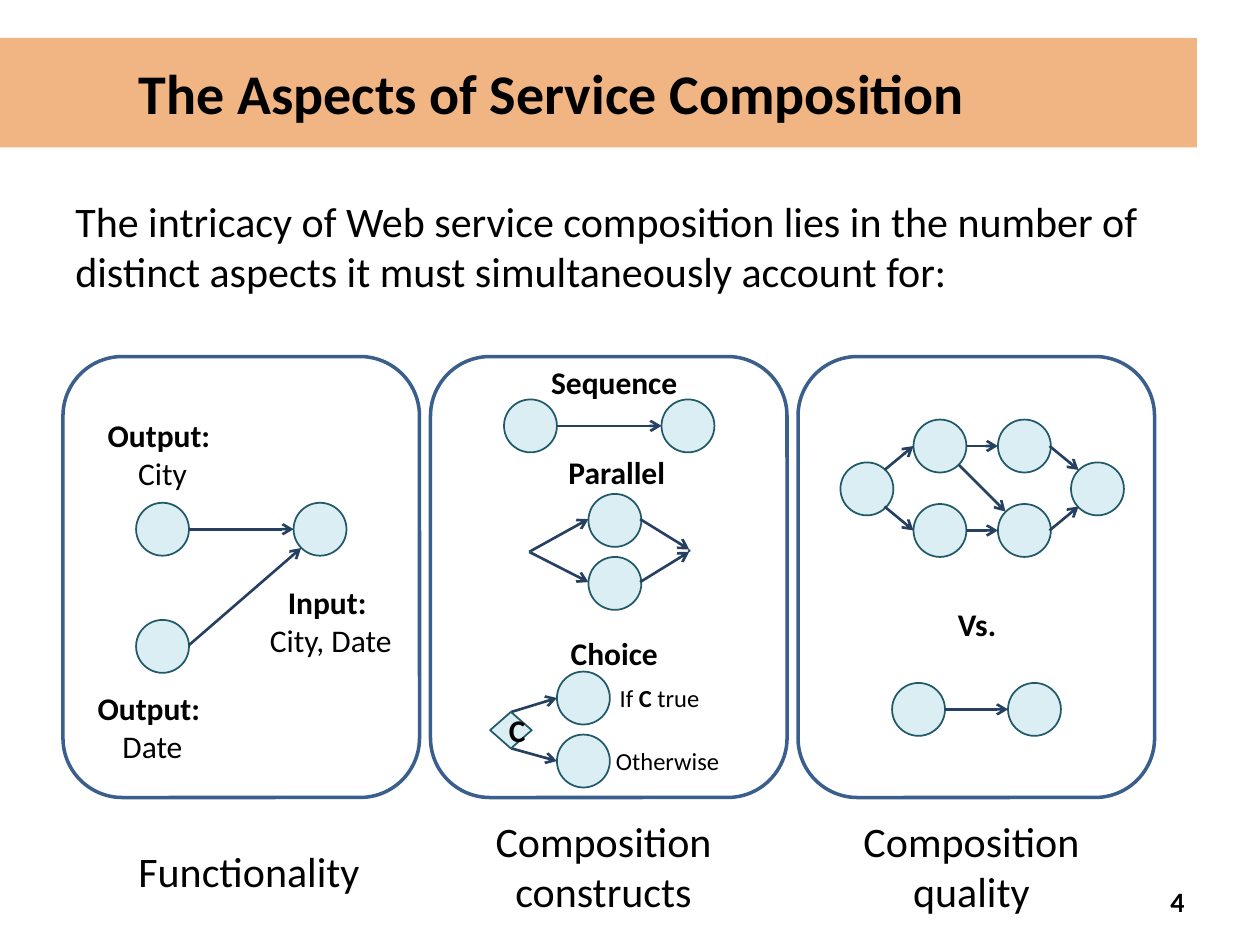
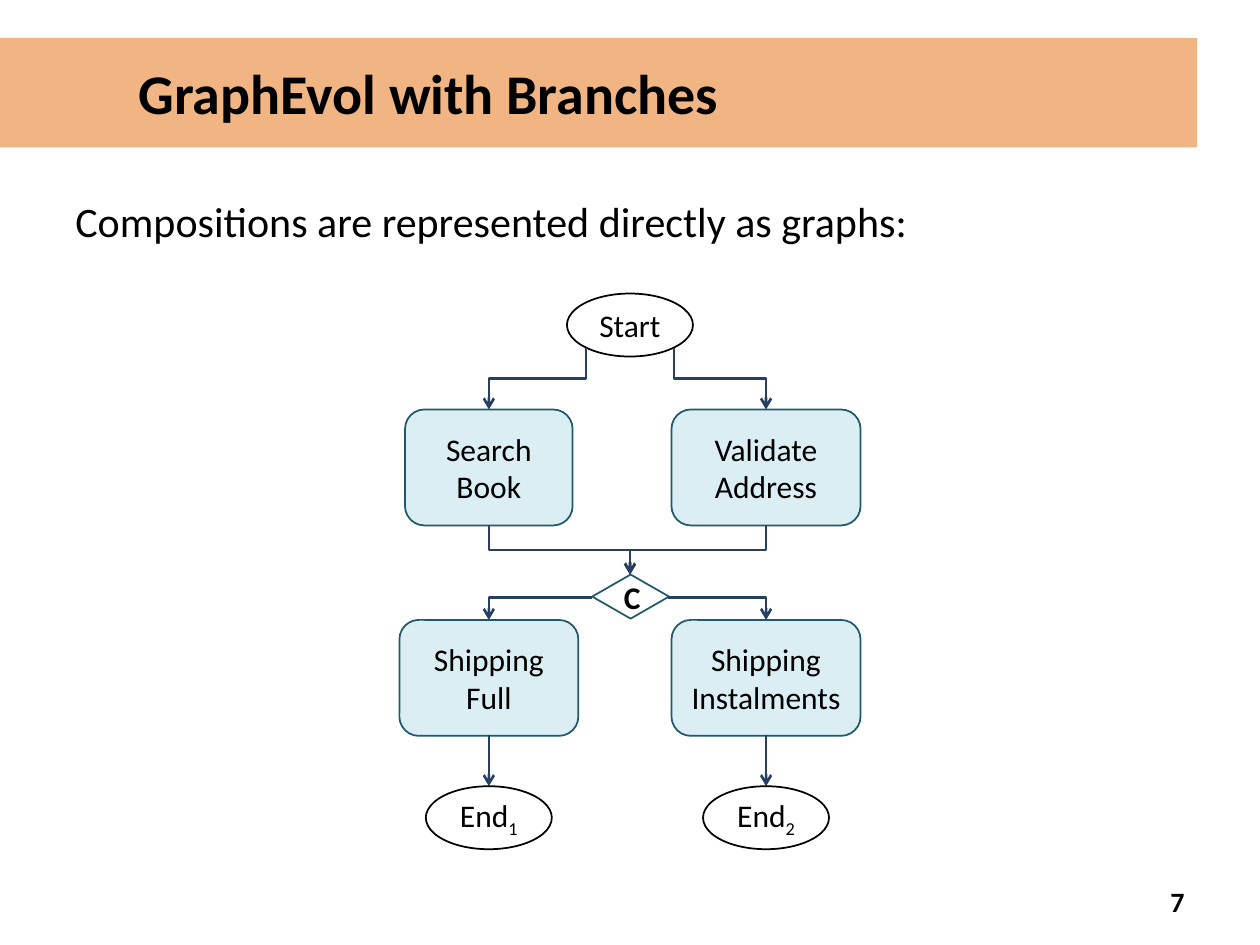
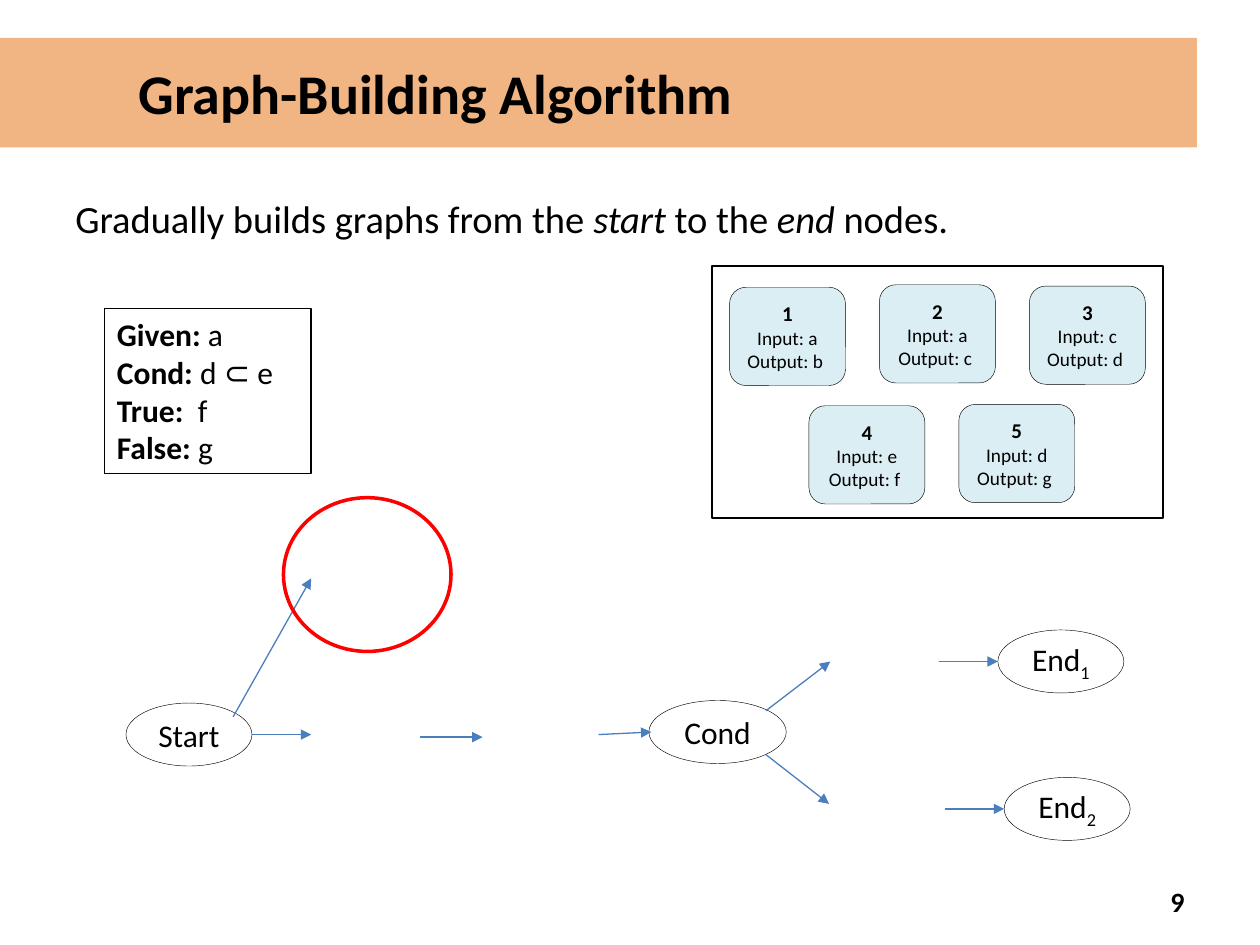
import pptx
import pptx.util
import pptx.dml.color
import pptx.enum.shapes
import pptx.enum.text
import pptx.oxml.ns
import lxml.etree

Inches, Pt = pptx.util.Inches, pptx.util.Pt
RGBColor = pptx.dml.color.RGBColor
SHAPE = pptx.enum.shapes.MSO_SHAPE
CONNECTOR = pptx.enum.shapes.MSO_CONNECTOR
ALIGN = pptx.enum.text.PP_ALIGN
ANCHOR = pptx.enum.text.MSO_ANCHOR
qn = pptx.oxml.ns.qn

FONT = "Calibri"
BLACK = RGBColor(0x00, 0x00, 0x00)
WHITE = RGBColor(0xFF, 0xFF, 0xFF)
ORANGE = RGBColor(0xE4, 0x6C, 0x0A)
PALE_BLUE = RGBColor(0xDB, 0xEE, 0xF4)
TEAL = RGBColor(0x21, 0x59, 0x68)
NAVY = RGBColor(0x25, 0x40, 0x61)
PANEL_BLUE = RGBColor(0x3A, 0x5F, 0x8C)
LINK_BLUE = RGBColor(0x4B, 0x7E, 0xBC)
RED = RGBColor(0xFF, 0x00, 0x00)

BOLD = {"bold": True}
ITALIC = {"italic": True}
SUBSCRIPT = {"subscript": True}
NODE = 0.42  # diameter of a service node


def write_text(shape, paragraphs, size=18, bold=False, align=ALIGN.CENTER,
               anchor=ANCHOR.MIDDLE, space_before=0):
    """Fill a shape with paragraphs: each a string or a list of runs.

    A run is a string, or a string with a dict of its own format.
    """
    frame = shape.text_frame
    frame.word_wrap = True
    frame.vertical_anchor = anchor
    for index, runs in enumerate(paragraphs):
        paragraph = frame.add_paragraph() if index else frame.paragraphs[0]
        paragraph.alignment = align
        paragraph.space_before = Pt(space_before)
        for part in [runs] if isinstance(runs, str) else runs:
            words, style = (part, {}) if isinstance(part, str) else part
            run = paragraph.add_run()
            run.text = words
            run.font.name = FONT
            run.font.size = Pt(style.get("size", size))
            run.font.bold = style.get("bold", bold)
            run.font.italic = style.get("italic", False)
            run.font.color.rgb = BLACK
            if style.get("subscript"):
                run.font._element.set("baseline", "-25000")


class Deck:
    """The presentation's style and its current slide."""

    def __init__(self):
        """Start an empty 10 by 7.5 inch presentation."""
        self.presentation = pptx.Presentation()
        self.presentation.slide_width = Inches(10)
        self.presentation.slide_height = Inches(7.5)
        self.slide = None

    def new_slide(self, title, number, intro, intro_size=24):
        """Add a slide with title band, opening sentence and page number."""
        self.slide = self.presentation.slides.add_slide(
            self.presentation.slide_layouts[6])
        band = self.shape(SHAPE.RECTANGLE, 0, 0.3, 9.5, 0.87, ORANGE)
        color = band._element.spPr.find(".//" + qn("a:srgbClr"))
        lxml.etree.SubElement(color, qn("a:alpha")).set("val", "50000")
        band.text_frame.margin_left = Inches(1.1)
        write_text(band, [title], size=32, bold=True, align=ALIGN.LEFT)
        self.text(0.5, 1.5, 9, 0.83, [intro], size=intro_size,
                  align=ALIGN.LEFT, space_before=intro_size / 5)
        self.text(7.17, 6.95, 2.33, 0.4, [number], size=16, bold=True,
                  align=ALIGN.RIGHT, anchor=ANCHOR.MIDDLE)

    def shape(self, kind, left, top, width, height, fill=None, line=None,
              weight=1, paragraphs=(), **style):
        """Add a preset shape, with text when there is any."""
        shape = self.slide.shapes.add_shape(
            kind, Inches(left), Inches(top), Inches(width), Inches(height))
        shape.shadow.inherit = False
        if fill is None:
            shape.fill.background()
        else:
            shape.fill.solid()
            shape.fill.fore_color.rgb = fill
        if line is None:
            shape.line.fill.background()
        else:
            shape.line.color.rgb = line
            shape.line.width = Pt(weight)
        if paragraphs:
            write_text(shape, paragraphs, **style)
        return shape

    def text(self, left, top, width, height, paragraphs, anchor=ANCHOR.TOP,
             **style):
        """Add a text box."""
        box = self.slide.shapes.add_textbox(
            Inches(left), Inches(top), Inches(width), Inches(height))
        write_text(box, paragraphs, anchor=anchor, **style)

    def node(self, left, top):
        """Add a round service node."""
        self.shape(SHAPE.OVAL, left, top, NODE, NODE, PALE_BLUE, TEAL)

    def terminal(self, left, top, label, width=1, weight=1):
        """Add a white ellipse for a start, end or condition."""
        self.shape(SHAPE.OVAL, left, top, width, 0.5, WHITE, BLACK, weight,
                   [label])

    def service(self, left, top, width, height, paragraphs, line=TEAL,
                weight=1, size=18):
        """Add a rounded box for a named service."""
        self.shape(SHAPE.ROUNDED_RECTANGLE, left, top, width, height,
                   PALE_BLUE, line, weight, paragraphs, size=size)

    def arrow(self, x1, y1, x2, y2, kind=CONNECTOR.STRAIGHT, color=NAVY,
              weight=1.5, head="arrow"):
        """Add a connector with an arrowhead at its end."""
        link = self.slide.shapes.add_connector(
            kind, Inches(x1), Inches(y1), Inches(x2), Inches(y2))
        link.line.color.rgb = color
        link.line.width = Pt(weight)
        tail = lxml.etree.SubElement(link.line._get_or_add_ln(),
                                     qn("a:tailEnd"))
        tail.set("type", head)
        lxml.etree.SubElement(link._element.spPr, qn("a:effectLst"))
        return link

    def thin_arrow(self, x1, y1, x2, y2):
        """Add a thin blue arrow with a filled head."""
        self.arrow(x1, y1, x2, y2, color=LINK_BLUE, weight=0.75,
                   head="triangle")

    def down_elbow(self, x1, y1, x2, y2):
        """Add an arrow that goes down, across and down again."""
        middle_x, middle_y = (x1 + x2) / 2, (y1 + y2) / 2
        half_drop, half_run = (y2 - y1) / 2, abs(x2 - x1) / 2
        rightward = x2 > x1
        if rightward:
            half_drop = -half_drop
        link = self.arrow(middle_x - half_drop, middle_y - half_run,
                          middle_x + half_drop, middle_y + half_run,
                          CONNECTOR.ELBOW)
        degrees = 270 if rightward else 90
        link._element.spPr.find(qn("a:xfrm")).set("rot", str(degrees * 60000))

    def corner(self, x1, y1, x2, y2):
        """Add an arrow that goes across and then down."""
        link = self.arrow(x1, y1, x2, y2, CONNECTOR.ELBOW)
        link._element.spPr.find(qn("a:prstGeom")).set("prst", "bentConnector2")


def aspects_slide(deck):
    """Three panels, one for each aspect of composition."""
    deck.new_slide(
        "The Aspects of Service Composition", "4",
        "The intricacy of Web service composition lies in the number of "
        "distinct aspects it must simultaneously account for:")
    for column in range(3):
        deck.shape(SHAPE.ROUNDED_RECTANGLE, 0.5 + 2.917 * column, 2.83,
                   2.83, 3.5, WHITE, PANEL_BLUE, 2)
    deck.text(1, 6.66, 2.08, 0.5, ["Functionality"], size=24, align=ALIGN.LEFT)
    for left, caption in ((3.75, "Composition constructs"),
                          (6.67, "Composition quality")):
        deck.text(left, 6.42, 2.08, 0.91, [caption], size=24)

    functionality = [(1.08, 3.99), (2.33, 3.99), (1.08, 4.92)]
    constructs = [(4, 3.17), (5.25, 3.17), (4.67, 3.92), (4.67, 4.42),
                  (4.42, 5.33), (4.42, 5.83)]
    quality = [(6.67, 3.67), (7.25, 3.33), (7.25, 4), (7.92, 4),
               (7.92, 3.33), (8.5, 3.67), (7.08, 5.42), (8, 5.42)]
    for left, top in functionality + constructs + quality:
        deck.node(left, top)

    functionality_links = [(1.5, 5.12, 2.39, 4.35), (1.5, 4.2, 2.33, 4.2)]
    construct_links = [
        (4.42, 3.38, 5.25, 3.38),
        (4.2, 4.38, 4.67, 4.12), (4.2, 4.38, 4.67, 4.62),
        (5.08, 4.12, 5.47, 4.36), (5.08, 4.62, 5.47, 4.38),
        (4.06, 5.65, 4.42, 5.54), (4.06, 5.94, 4.42, 6.04)]
    quality_links = [
        (7.02, 3.73, 7.25, 3.54), (7.02, 4.02, 7.25, 4.21),
        (7.67, 3.54, 7.92, 3.54), (7.67, 4.21, 7.92, 4.21),
        (8.33, 3.54, 8.56, 3.73), (8.33, 4.21, 8.56, 4.02),
        (7.61, 3.69, 7.98, 4.06), (7.5, 5.63, 8, 5.63)]
    for ends in functionality_links + construct_links + quality_links:
        deck.arrow(*ends)

    for left, top, width, heading, value in (
            (0.75, 3.25, 1.08, "Output: ", "City"),
            (0.67, 5.42, 1.08, "Output: ", "Date"),
            (2, 4.58, 1.25, "Input: ", "City, Date")):
        deck.text(left, top, width, 0.71, [[(heading, BOLD)], value])
    for left, top, width, heading in (
            (4.25, 2.83, 1.25, "Sequence"), (4.27, 3.55, 1.25, "Parallel"),
            (4.25, 4.98, 1.25, "Choice"), (7.42, 4.75, 0.67, "Vs.")):
        deck.text(left, top, width, 0.4, [heading], bold=True)

    deck.shape(SHAPE.DIAMOND, 3.89, 5.65, 0.33, 0.29, PALE_BLUE, TEAL,
               paragraphs=["C"], bold=True)
    deck.text(4.82, 5.37, 0.83, 0.34, [["If ", ("C", BOLD), " true"]],
              size=14, align=ALIGN.LEFT)
    deck.text(4.79, 5.87, 1.04, 0.34, ["Otherwise"], size=14, align=ALIGN.LEFT)
    for left, top in ((4.2, 4.37), (5.46, 4.36)):
        deck.shape(SHAPE.RECTANGLE, left, top, 0.02, 0.02, TEAL)


def branches_slide(deck):
    """A flow chart with a parallel start and a conditional split."""
    deck.new_slide("GraphEvol with Branches", "7",
                   "Compositions are represented directly as graphs:")
    left_x, middle_x, right_x = 3.88, 5, 6.08
    for center, top, width, words in (
            (left_x, 3.25, 1.33, ["Search", "Book"]),
            (right_x, 3.25, 1.5, ["Validate", "Address"]),
            (left_x, 4.92, 1.42, ["Shipping", "Full"]),
            (right_x, 4.92, 1.5, ["Shipping", "Instalments"])):
        deck.service(center - width / 2, top, width, 0.92, words)
    deck.terminal(middle_x - 0.5, 2.33, "Start")
    deck.shape(SHAPE.DIAMOND, 4.7, 4.56, 0.61, 0.35, WHITE, TEAL,
               paragraphs=["C"], bold=True)
    for number, x, start_x, diamond_x in (("1", left_x, 4.65, 4.7),
                                          ("2", right_x, 5.35, 5.3)):
        deck.down_elbow(start_x, 2.76, x, 3.25)
        deck.down_elbow(x, 4.17, middle_x, 4.56)
        deck.corner(diamond_x, 4.74, x, 4.92)
        deck.arrow(x, 5.83, x, 6.24)
        deck.terminal(x - 0.5, 6.24, ["End", (number, SUBSCRIPT)])


def algorithm_slide(deck):
    """The task, the available services and a graph being built."""
    deck.new_slide("Graph-Building Algorithm", "9",
                   ["Gradually builds graphs from the ", ("start", ITALIC),
                    " to the ", ("end", ITALIC), " nodes."], intro_size=22)
    deck.shape(SHAPE.RECTANGLE, 5.65, 2.11, 3.58, 2, WHITE, BLACK)
    for number, left, top, given, result in (
            ("1", 5.79, 2.28, "a", "b"), ("2", 6.98, 2.26, "a", "c"),
            ("3", 8.17, 2.27, "c", "d"), ("4", 6.42, 3.22, "e", "f"),
            ("5", 7.61, 3.21, "d", "g")):
        deck.service(left, top, 0.92, 0.78,
                     [[(number, {"bold": True, "size": 12})],
                      f"Input: {given}", f"Output: {result} "],
                     line=BLACK, weight=0.25, size=11)
    task = (("Given: ", "a"), ("Cond: ", "d \u2282 e "),
            ("True:  ", "f"), ("False: ", "g"))
    deck.shape(SHAPE.RECTANGLE, 0.83, 2.45, 1.64, 1.31, WHITE, BLACK, 0.75,
               [[(name, BOLD), value] for name, value in task],
               align=ALIGN.LEFT, anchor=ANCHOR.TOP)

    for left, top, width, label in (
            (1, 5.58, 1, "Start"), (5.15, 5.56, 1.09, "Cond"),
            (7.92, 5, 1, ["End", ("1", SUBSCRIPT)]),
            (7.97, 6.17, 1, ["End", ("2", SUBSCRIPT)])):
        deck.terminal(left, top, label, width, weight=0.25)
    for ends in ((1.85, 5.69, 2.47, 4.59), (2, 5.83, 2.47, 5.83),
                 (3.33, 5.85, 3.83, 5.85), (4.75, 5.83, 5.17, 5.81),
                 (6.08, 5.64, 6.59, 5.25), (6.08, 5.99, 6.58, 6.38),
                 (7.45, 5.25, 7.92, 5.25), (7.5, 6.42, 7.97, 6.42)):
        deck.thin_arrow(*ends)
    deck.shape(SHAPE.OVAL, 2.25, 3.95, 1.33, 1.22, line=RED, weight=2)


deck = Deck()
aspects_slide(deck)
branches_slide(deck)
algorithm_slide(deck)
deck.presentation.save("out.pptx")
